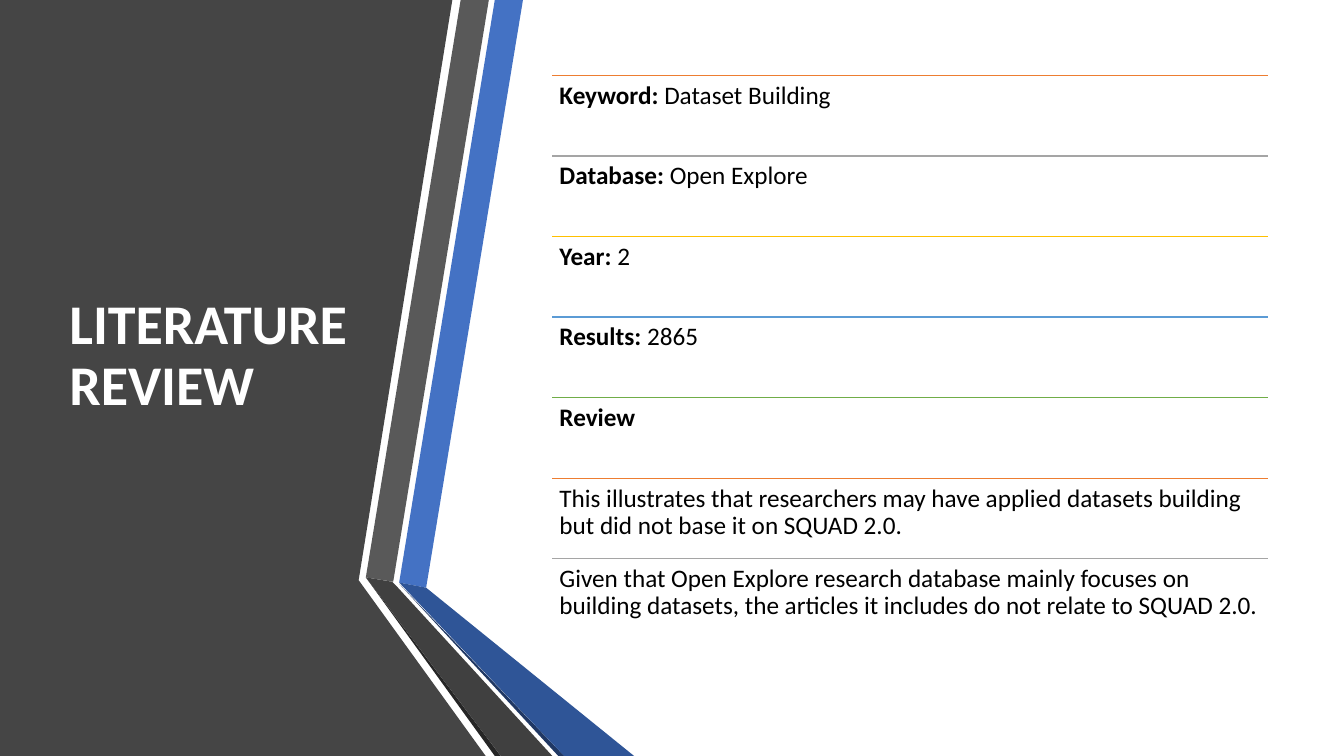
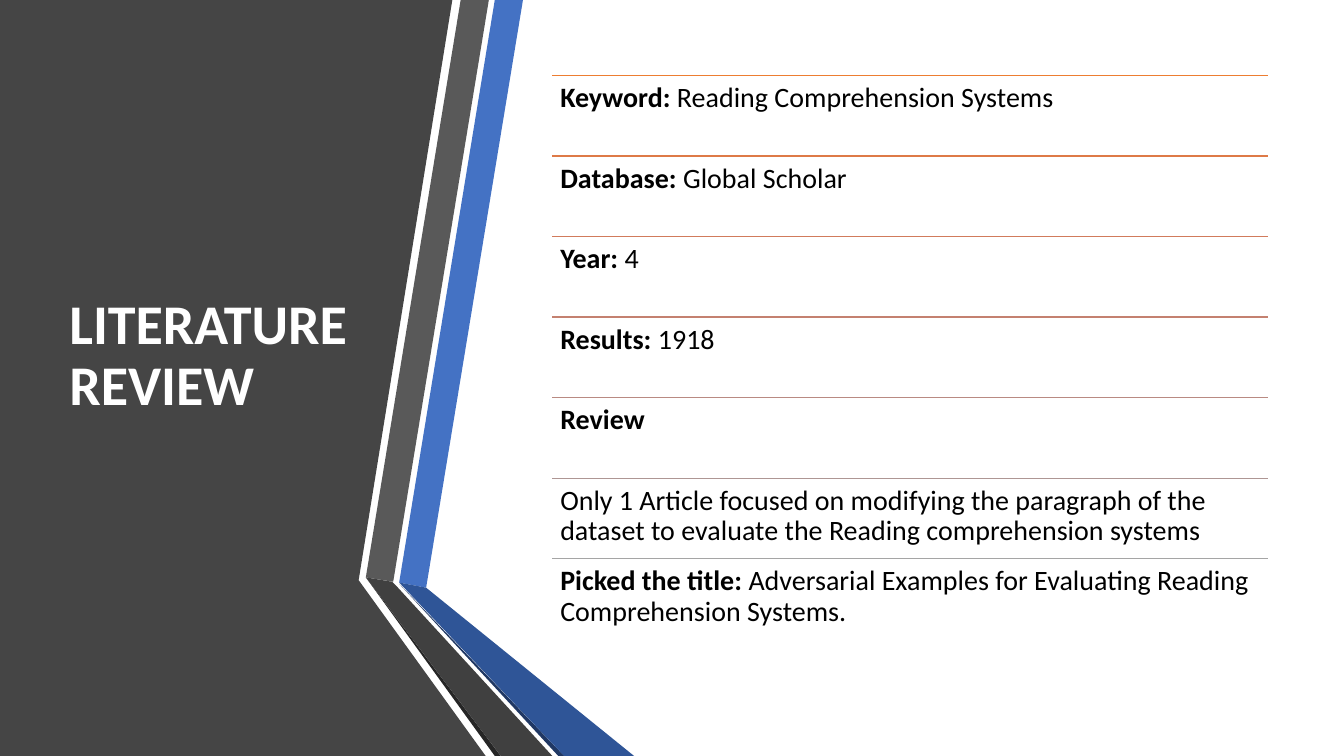
import dataclasses

import lxml.etree
import pptx
import pptx.dml.color
import pptx.enum.shapes
import pptx.enum.text
import pptx.oxml.ns
import pptx.presentation
import pptx.slide
import pptx.text.text
import pptx.util

Cm = pptx.util.Cm
RGBColor = pptx.dml.color.RGBColor

# Shared style
FONT = "Calibri"
BLACK = RGBColor(0x00, 0x00, 0x00)
WHITE = RGBColor(0xFF, 0xFF, 0xFF)
PANEL = RGBColor(0x45, 0x45, 0x45)
GRAY = RGBColor(0x59, 0x59, 0x59)
DARK_GRAY = RGBColor(0x40, 0x40, 0x40)
DEEP_GRAY = RGBColor(0x26, 0x26, 0x26)
BLUE = RGBColor(0x44, 0x72, 0xC4)
DARK_BLUE = RGBColor(0x2F, 0x55, 0x97)
DEEP_BLUE = RGBColor(0x20, 0x38, 0x64)
ORANGE = RGBColor(0xED, 0x7D, 0x31)
SILVER = RGBColor(0xA5, 0xA5, 0xA5)
GOLD = RGBColor(0xFF, 0xC0, 0x00)
SKY = RGBColor(0x5B, 0x9B, 0xD5)
GREEN = RGBColor(0x70, 0xAD, 0x47)

ACCENT_RULES = (ORANGE, SILVER, GOLD, SKY, GREEN, ORANGE, SILVER)
FADING_RULES = (
    ORANGE,
    RGBColor(0xDE, 0x7A, 0x47),
    RGBColor(0xD1, 0x7B, 0x5C),
    RGBColor(0xC4, 0x81, 0x70),
    RGBColor(0xB9, 0x8A, 0x82),
    RGBColor(0xAE, 0x96, 0x94),
    SILVER,
)

# Layout in centimetres
SLIDE_WIDTH, SLIDE_HEIGHT = 33.87, 19.05
LIST_LEFT, LIST_TOP, LIST_WIDTH = 13.92, 1.9, 18.03
ROW_HEIGHT = 2.03


@dataclasses.dataclass(frozen=True)
class Band:
    color: RGBColor
    corners: tuple[tuple[float, float], ...]


@dataclasses.dataclass(frozen=True)
class Entry:
    label: str = ""
    detail: str = ""


@dataclasses.dataclass(frozen=True)
class Review:
    entries: tuple[Entry, ...]
    rule_colors: tuple[RGBColor, ...]
    font_size: int
    inset: float


BANDS = (
    Band(PANEL, ((0, 0), (11.4, 0), (9.04, 14.62), (12.24, SLIDE_HEIGHT), (0, SLIDE_HEIGHT))),
    Band(BLUE, ((10.06, 14.68), (10.74, 14.81), (13.18, 0), (12.47, 0))),
    Band(GRAY, ((12.32, 0), (11.61, 0), (9.22, 14.55), (9.91, 14.66))),
    Band(DEEP_GRAY, ((9.22, 14.55), (12.47, SLIDE_HEIGHT), (12.62, SLIDE_HEIGHT))),
    Band(DEEP_BLUE, ((10.06, 14.71), (14.07, SLIDE_HEIGHT), (14.22, SLIDE_HEIGHT))),
    Band(DARK_BLUE, ((10.06, 14.68), (14.22, SLIDE_HEIGHT), (15.98, SLIDE_HEIGHT), (10.74, 14.81))),
    Band(DARK_GRAY, ((13.92, SLIDE_HEIGHT), (10.03, 14.81), (9.88, 14.66), (9.22, 14.55),
                     (12.62, SLIDE_HEIGHT))),
)

REVIEWS = (
    Review(
        entries=(
            Entry("Keyword: ", "Dataset Building"),
            Entry("Database: ", "Open Explore"),
            Entry("Year: ", "2"),
            Entry("Results: ", "2865"),
            Entry("Review"),
            Entry(detail="This illustrates that researchers may have applied datasets building "
                         "but did not base it on SQUAD 2.0."),
            Entry(detail="Given that Open Explore research database mainly focuses on building "
                         "datasets, the articles it includes do not relate to SQUAD 2.0."),
        ),
        rule_colors=ACCENT_RULES,
        font_size=18,
        inset=0.18,
    ),
    Review(
        entries=(
            Entry("Keyword: ", "Reading Comprehension Systems"),
            Entry("Database: ", "Global Scholar"),
            Entry("Year: ", "4"),
            Entry("Results: ", "1918"),
            Entry("Review"),
            Entry(detail="Only 1 Article focused on modifying the paragraph of the dataset "
                         "to evaluate the Reading comprehension systems"),
            Entry("Picked the title: ",
                  "Adversarial Examples for Evaluating Reading Comprehension Systems."),
        ),
        rule_colors=FADING_RULES,
        font_size=20,
        inset=0.2,
    ),
)


def style_run(run: pptx.text.text._Run, size: int, color: RGBColor, bold: bool) -> None:
    run.font.name = FONT
    run.font.size = pptx.util.Pt(size)
    run.font.color.rgb = color
    run.font.bold = bold


def draw_band(slide: pptx.slide.Slide, band: Band) -> None:
    start, *rest = [(Cm(x), Cm(y)) for x, y in band.corners]
    outline = slide.shapes.build_freeform(*start)
    outline.add_line_segments(rest, close=True)
    shape = outline.convert_to_shape()
    shape.shadow.inherit = False
    shape.fill.solid()
    shape.fill.fore_color.rgb = band.color
    shape.line.fill.background()


def draw_title(slide: pptx.slide.Slide, text: str) -> None:
    frame = slide.shapes.add_textbox(Cm(1.5), Cm(1.9), Cm(7.72), Cm(14.18)).text_frame
    frame.word_wrap = True
    frame.vertical_anchor = pptx.enum.text.MSO_ANCHOR.MIDDLE
    frame.text = text
    frame.paragraphs[0].line_spacing = 0.9
    style_run(frame.paragraphs[0].runs[0], 40, WHITE, True)


def draw_rule(slide: pptx.slide.Slide, top: float, color: RGBColor) -> None:
    rule = slide.shapes.add_connector(
        pptx.enum.shapes.MSO_CONNECTOR.STRAIGHT,
        Cm(LIST_LEFT), Cm(top), Cm(LIST_LEFT + LIST_WIDTH), Cm(top),
    )
    rule.line.color.rgb = color
    rule.line.width = pptx.util.Pt(1)
    lxml.etree.SubElement(rule._element.spPr, pptx.oxml.ns.qn("a:effectLst"))


def draw_entry(slide: pptx.slide.Slide, entry: Entry, top: float, review: Review) -> None:
    frame = slide.shapes.add_textbox(
        Cm(LIST_LEFT), Cm(top), Cm(LIST_WIDTH), Cm(ROW_HEIGHT)
    ).text_frame
    frame.word_wrap = True
    frame.margin_left = frame.margin_right = Cm(review.inset)
    frame.margin_top = frame.margin_bottom = Cm(review.inset)
    paragraph = frame.paragraphs[0]
    paragraph.line_spacing = 0.9
    for text, bold in ((entry.label, True), (entry.detail, False)):
        if text:
            run = paragraph.add_run()
            run.text = text
            style_run(run, review.font_size, BLACK, bold)


def draw_review(deck: pptx.presentation.Presentation, review: Review) -> None:
    slide = deck.slides.add_slide(deck.slide_layouts[6])
    # Side panel and folded bands
    for band in BANDS:
        draw_band(slide, band)
    draw_title(slide, "LITERATURE REVIEW")
    # Ruled list of findings
    for row, (entry, color) in enumerate(zip(review.entries, review.rule_colors)):
        top = LIST_TOP + row * ROW_HEIGHT
        draw_rule(slide, top, color)
        draw_entry(slide, entry, top, review)


def main() -> None:
    deck = pptx.Presentation()
    deck.slide_width, deck.slide_height = Cm(SLIDE_WIDTH), Cm(SLIDE_HEIGHT)
    for review in REVIEWS:
        draw_review(deck, review)
    deck.save("out.pptx")


if __name__ == "__main__":
    main()
